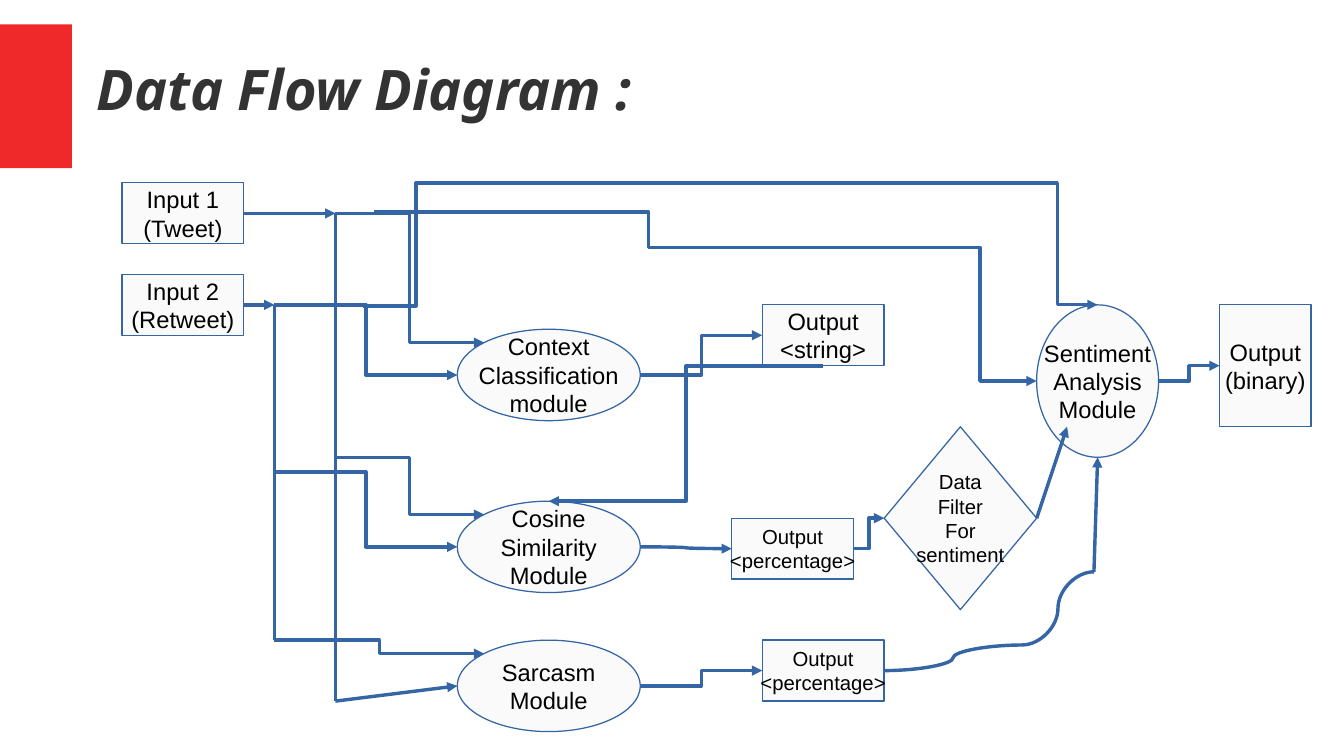
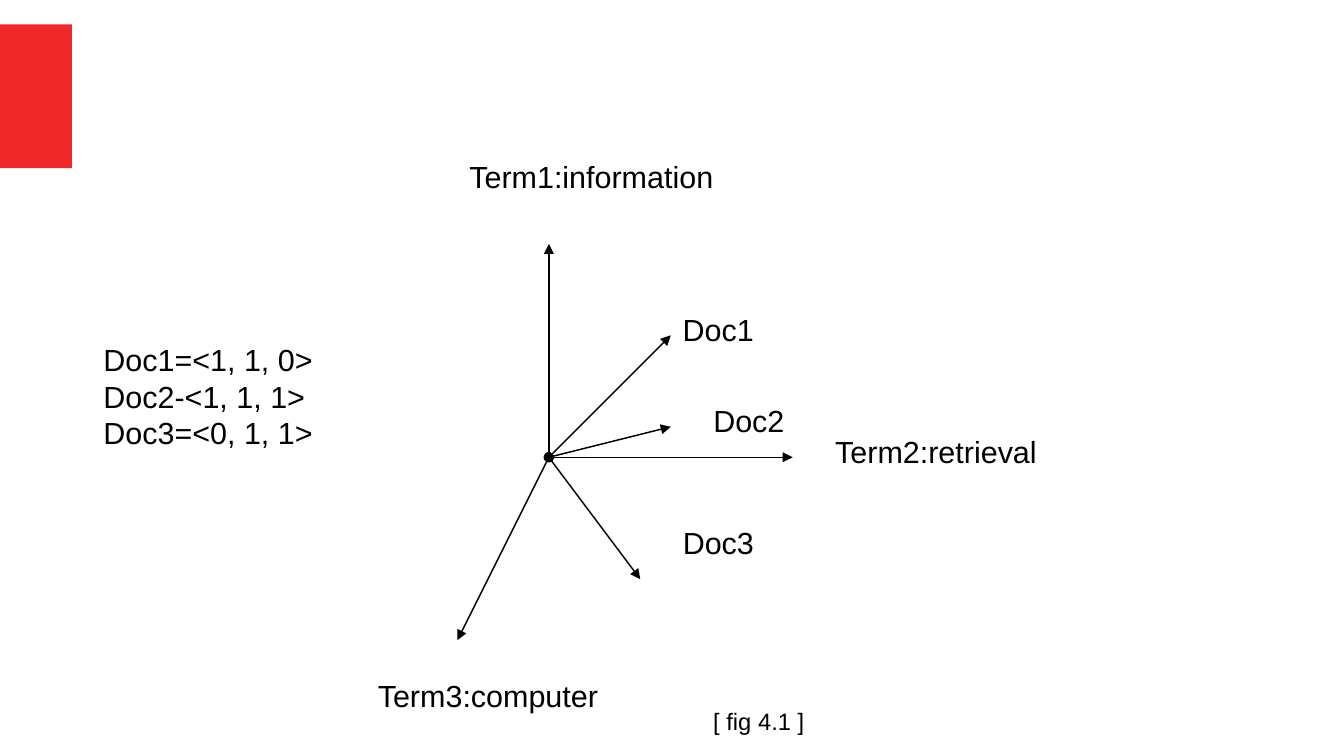
from dataclasses import dataclass
from math import sqrt

from lxml.etree import SubElement
from pptx import Presentation
from pptx.dml.color import RGBColor
from pptx.enum.shapes import MSO_CONNECTOR as Link, MSO_SHAPE as Shape
from pptx.enum.text import MSO_ANCHOR as Anchor, PP_ALIGN as Align
from pptx.oxml.ns import qn
from pptx.util import Inches, Pt

RED = RGBColor(0xEF, 0x29, 0x29)
CHARCOAL = RGBColor(0x33, 0x33, 0x33)
PALE = RGBColor(0xFA, 0xFA, 0xFA)
BLUE = RGBColor(0x34, 0x65, 0xA4)
BLACK = RGBColor(0, 0, 0)

WIDTH, HEIGHT = Inches(11.02), Inches(6.2)
BODY_FONT, TITLE_FONT = "Arial", "Noto Sans"
LEFT, TOP, RIGHT, BOTTOM, CORNER = (0, 0.5), (0.5, 0), (1, 0.5), (0.5, 1), (0.5 - sqrt(2) / 4,) * 2


@dataclass
class Grid:
    """Square cells counted from a top left origin."""

    left: int
    top: int
    step: int = Inches(0.25)

    def at(self, column, row):
        """Return the slide position of a grid point."""
        return self.left + round(column * self.step), self.top + round(row * self.step)

    def area(self, column, row, columns, rows):
        """Return left, top, width and height of a block of cells."""
        return *self.at(column, row), round(columns * self.step), round(rows * self.step)


def port(shape, share):
    """Return the point at a share of the width and height of a shape."""
    across, down = share
    return shape.left + round(across * shape.width), shape.top + round(down * shape.height)


def write(shape, lines, size, color=BLACK, font=BODY_FONT, strong=False, align=Align.LEFT):
    """Write one paragraph for each line of text."""
    frame = shape.text_frame
    for index, line in enumerate(lines):
        para = frame.paragraphs[0] if index == 0 else frame.add_paragraph()
        para.alignment = align
        span = para.add_run()
        span.text = line
        span.font.name = font
        span.font.size = Pt(size)
        span.font.bold = span.font.italic = strong
        span.font.color.rgb = color


def add_label(page, area, lines, size=18):
    """Place plain text in a wrapping box."""
    box = page.shapes.add_textbox(*area)
    box.text_frame.word_wrap = True
    write(box, lines, size)


def add_node(page, area, outline, lines, size=14):
    """Place an outlined shape with centred text."""
    node = page.shapes.add_shape(outline, *area)
    node.shadow.inherit = False
    node.fill.solid()
    node.fill.fore_color.rgb = PALE
    node.line.color.rgb = BLUE
    node.line.width = Pt(0)
    node.text_frame.word_wrap = False
    node.text_frame.vertical_anchor = Anchor.MIDDLE
    write(node, lines, size, align=Align.CENTER)
    return node


def add_link(page, start, end, kind=Link.STRAIGHT, color=BLUE, width=0, head=None, tail="triangle"):
    """Draw a connector with optional ends."""
    link = page.shapes.add_connector(kind, *start, *end)
    link.line.color.rgb = color
    link.line.width = Pt(width)
    stroke = link.line.fill._xPr
    for tag, style in (("a:headEnd", head), ("a:tailEnd", tail)):
        if style:
            SubElement(stroke, qn(tag)).set("type", style)
    SubElement(stroke.getparent(), qn("a:effectLst"))
    return link


def add_page(deck, title=None):
    """Add a blank page with the red band and an optional title."""
    page = deck.slides.add_slide(deck.slide_layouts[6])
    top = Inches(0.2)
    band = page.shapes.add_shape(Shape.RECTANGLE, 0, top, Inches(0.59), Inches(1.18))
    band.shadow.inherit = False
    band.fill.solid()
    band.fill.fore_color.rgb = RED
    band.line.fill.background()
    if title:
        box = page.shapes.add_textbox(Inches(0.79), top, Inches(9.84), Inches(1.04))
        frame = box.text_frame
        frame.word_wrap = True
        frame.vertical_anchor = Anchor.MIDDLE
        frame.margin_left = frame.margin_top = frame.margin_right = frame.margin_bottom = 0
        write(box, [title], 33, CHARCOAL, TITLE_FONT, True)
    return page


def add_flow_nodes(page, grid):
    """Place the inputs, modules and outputs and return them by name."""
    rect, oval = Shape.RECTANGLE, Shape.OVAL
    percentage = ["Output", "<percentage>"]
    nodes = {
        "tweet": ((0, 0, 4, 2), rect, ["Input 1", "(Tweet)"]),
        "retweet": ((0, 3, 4, 2), rect, ["Input 2", "(Retweet)"]),
        "context": ((11, 4.8, 6, 3), oval, ["Context", "Classification", "module"]),
        "string": ((21, 4, 4, 2), rect, ["Output", "<string>"]),
        "sarcasm": ((11, 15, 6, 3), oval, ["Sarcasm", "Module"]),
        "sarcasm score": ((21, 15, 4, 2), rect, percentage, 12),
        "cosine": ((11, 10.44, 6, 3), oval, ["Cosine", "Similarity", "Module"]),
        "cosine score": ((20, 11, 4, 2), rect, percentage, 12),
        "sentiment": ((30, 4, 4, 5), oval, ["Sentiment", "Analysis", "Module"]),
        "filter": ((25, 8, 5, 6), Shape.DIAMOND, ["Data", "Filter", "For", "sentiment"], 12),
        "binary": ((36, 4, 3, 4), rect, ["Output", "(binary)"]),
    }
    return {name: add_node(page, grid.area(*cells), *rest) for name, (cells, *rest) in nodes.items()}


def add_flow_links(page, grid, nodes):
    """Draw the trunks of the two inputs and every arrow between nodes."""
    def point(end):
        """Resolve a named port or a grid point."""
        return port(nodes[end[0]], end[1]) if isinstance(end[0], str) else grid.at(*end)

    tweet, tweet_end, retweet, retweet_end = (7, 1), (7, 17), (5, 4), (5, 15)
    upper, lower = (26.28, 2.12), (29.52, 15.16)
    over_start, over_end, rise = (11.36, 0), (29.36, 0), (31.88, 12.76)
    arrows = {
        Link.ELBOW: [
            (("context", RIGHT), ("string", LEFT)),
            (("sarcasm", RIGHT), ("sarcasm score", LEFT)),
            (tweet, ("context", CORNER)),
            (retweet, ("context", LEFT)),
            ((7, 9), ("cosine", CORNER)),
            ((5, 9.48), ("cosine", LEFT)),
            (retweet_end, ("sarcasm", CORNER)),
            (("string", BOTTOM), ("cosine", TOP)),
            (("cosine score", RIGHT), ("filter", LEFT)),
            (upper, ("sentiment", LEFT)),
            (over_end, ("sentiment", TOP)),
            (("sentiment", RIGHT), ("binary", LEFT)),
        ],
        Link.CURVE: [(("cosine", RIGHT), ("cosine score", LEFT))],
        Link.STRAIGHT: [
            (tweet_end, ("sarcasm", LEFT)),
            (rise, ("sentiment", BOTTOM)),
        ],
    }
    plain = {
        Link.STRAIGHT: [(tweet, tweet_end), (retweet, retweet_end), (over_start, over_end)],
        Link.ELBOW: [((8.28, 0.96), upper), ((7.92, 4.04), over_start)],
        Link.CURVE: [(("sarcasm score", RIGHT), lower), (lower, rise)],
    }
    for links, tail in ((arrows, "triangle"), (plain, None)):
        for kind, pairs in links.items():
            for start, end in pairs:
                add_link(page, point(start), point(end), kind, tail=tail)
    for name, end in (("tweet", tweet), ("retweet", retweet), ("filter", (31, 8))):
        link = add_link(page, point((name, RIGHT)), point(end))
        link.begin_connect(nodes[name], 3)


def add_vector_space(page, grid):
    """Draw term axes, document vectors and their labels."""
    origin = grid.at(15, 10)
    for end in ((23, 10), (15, 3), (12, 16)):
        add_link(page, origin, grid.at(*end), color=BLACK, width=0.85)
    for end in ((19, 6), (19, 9), (18, 14)):
        add_link(page, grid.at(*end), origin, color=BLACK, width=0.85, head="triangle", tail="oval")
    labels = [
        ((12, 0, 11, 1.5), ["Term1:information"]),
        ((24, 9, 15, 1.5), ["Term2:retrieval"]),
        ((9, 17, 12, 1.5), ["Term3:computer"]),
        ((19, 5, 6, 1.5), ["Doc1"]),
        ((20, 8, 5, 1.5), ["Doc2"]),
        ((19, 12, 5, 1.5), ["Doc3"]),
        ((0, 6, 13, 3.75), ["Doc1=<1, 1, 0>", "Doc2-<1, 1, 1>", "Doc3=<0, 1, 1>"]),
        ((20, 18, 6, 1.28), ["[ fig 4.1 ]"], 14),
    ]
    for cells, *text in labels:
        add_label(page, grid.area(*cells), *text)


def main():
    """Build and save the deck."""
    deck = Presentation()
    deck.slide_width, deck.slide_height = WIDTH, HEIGHT
    flow = add_page(deck, "Data Flow Diagram :")
    flow_grid = Grid(Inches(1), Inches(1.5))
    add_flow_links(flow, flow_grid, add_flow_nodes(flow, flow_grid))
    add_vector_space(add_page(deck), Grid(Inches(0.75), Inches(1.25)))
    deck.save("out.pptx")


if __name__ == "__main__":
    main()
